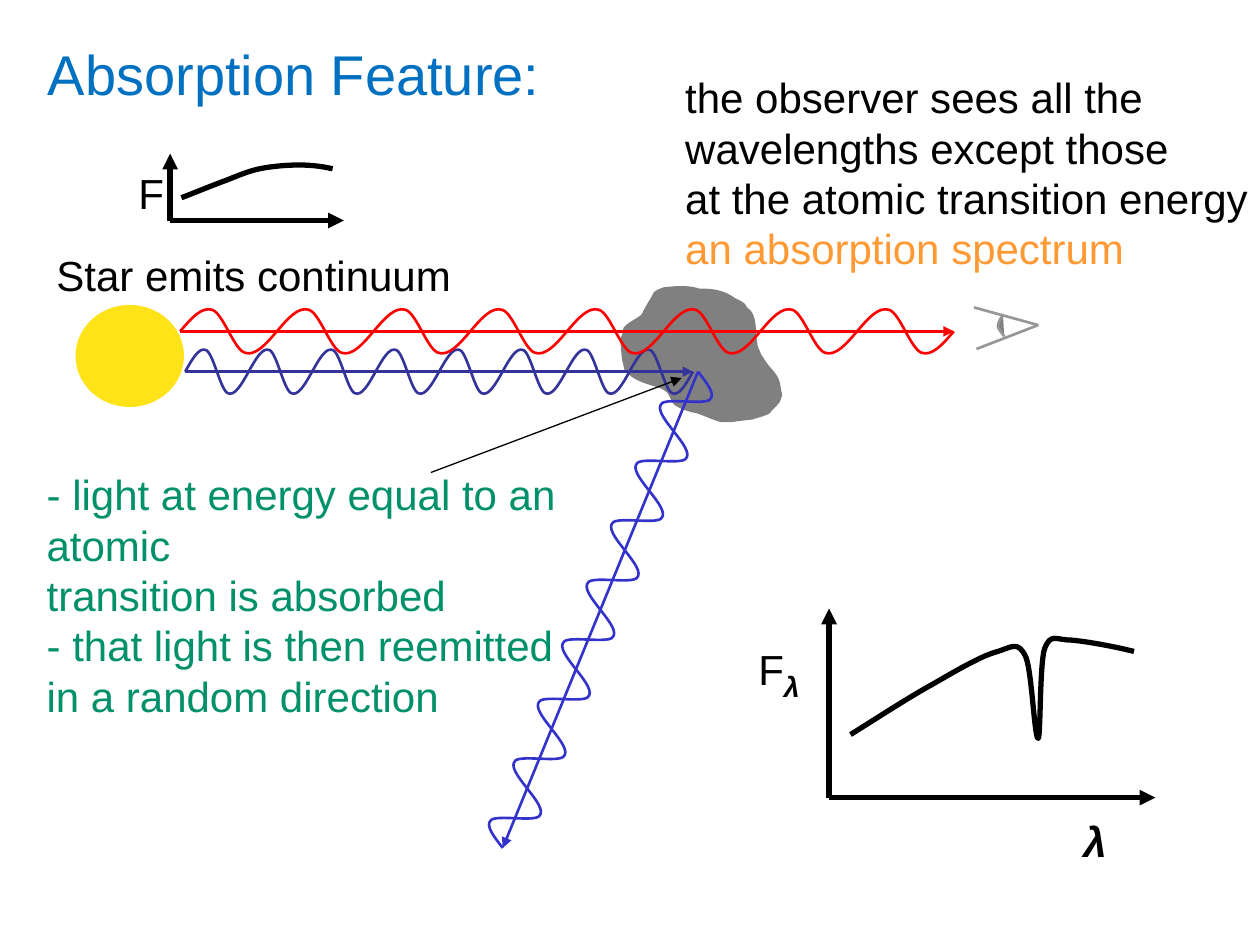
import math

import lxml.etree
import pptx
import pptx.dml.color
import pptx.enum.shapes
import pptx.enum.text
import pptx.oxml
import pptx.oxml.ns
import pptx.util

Inches = pptx.util.Inches
RGBColor = pptx.dml.color.RGBColor

BLACK = RGBColor(0x00, 0x00, 0x00)
GRAY = RGBColor(0x80, 0x80, 0x80)
LIGHT_GRAY = RGBColor(0x96, 0x96, 0x96)
YELLOW = RGBColor(0xFE, 0xE3, 0x18)
RED = RGBColor(0xFF, 0x00, 0x00)
NAVY = RGBColor(0x33, 0x33, 0x99)
BLUE = RGBColor(0x33, 0x33, 0xCC)
ORANGE = RGBColor(0xFF, 0x99, 0x33)
GREEN = RGBColor(0x00, 0x90, 0x6A)
TITLE_BLUE = RGBColor(0x00, 0x70, 0xC0)

CLOUD = [
    (5.55, 2.29), (5.45, 2.26), (5.37, 2.27), (5.27, 2.28), (5.24, 2.29), (5.21, 2.3), (5.19, 2.32),
    (5.17, 2.36), (5.13, 2.42), (5.1, 2.48), (5.09, 2.52), (5, 2.54), (4.95, 2.6),
    (4.93, 2.67), (4.95, 2.64), (4.92, 2.69), (4.93, 2.75), (4.93, 2.81), (4.94, 2.87),
    (4.95, 2.89), (4.95, 2.93), (4.96, 2.94), (5.03, 3.03), (5.15, 3.05), (5.24, 3.08),
    (5.26, 3.09), (5.28, 3.1), (5.3, 3.12), (5.32, 3.15), (5.33, 3.2), (5.36, 3.22),
    (5.41, 3.25), (5.47, 3.27), (5.53, 3.28), (5.59, 3.3), (5.65, 3.33), (5.72, 3.35),
    (5.75, 3.35), (5.78, 3.35), (5.81, 3.35), (5.87, 3.34), (5.97, 3.33), (5.97, 3.33),
    (6.03, 3.31), (6.08, 3.3), (6.11, 3.28), (6.13, 3.25), (6.16, 3.23), (6.19, 3.19),
    (6.2, 3.15), (6.22, 3.14), (6.2, 3.1), (6.19, 3), (6.17, 2.98), (6.1, 2.9),
    (6.07, 2.86), (6.06, 2.84), (6.04, 2.81), (6.03, 2.78), (6.01, 2.75), (6.01, 2.72),
    (5.99, 2.63), (6.02, 2.5), (5.93, 2.44), (5.9, 2.38), (5.86, 2.39), (5.81, 2.35),
    (5.73, 2.3), (5.65, 2.29), (5.55, 2.29),
]
PUPIL = [(7.97, 2.67), (7.95, 2.64), (7.92, 2.61), (7.92, 2.59), (7.92, 2.56), (7.94, 2.53), (7.96, 2.5)]
CONTINUUM = [
    (1.44, 1.57), (1.57, 1.52), (1.69, 1.47), (1.8, 1.43), (1.9, 1.39), (1.97, 1.36), (2.06, 1.34),
    (2.16, 1.32), (2.28, 1.31), (2.37, 1.31), (2.47, 1.31), (2.55, 1.32), (2.64, 1.34),
]
ABSORPTION = [
    (6.75, 5.83), (6.99, 5.68), (7.22, 5.53), (7.42, 5.42), (7.61, 5.31), (7.8, 5.2), (7.92, 5.17),
    (8.04, 5.13), (8.08, 5.09), (8.14, 5.21), (8.19, 5.32), (8.21, 5.87), (8.24, 5.86),
    (8.26, 5.85), (8.25, 5.28), (8.29, 5.15), (8.34, 5.02), (8.38, 5.08), (8.5, 5.08),
    (8.62, 5.09), (8.84, 5.13), (9, 5.17),
]
WAVE_HEIGHTS = [0, -0.1, -0.2, -0.17, -0.14, 0.14, 0.17, 0.2, 0.1, 0]
PERIODS = 8


def format_shape(shape, fill=None, color=None, width=1.5):
    shape.shadow.inherit = False
    if fill is None:
        shape.fill.background()
    else:
        shape.fill.solid()
        shape.fill.fore_color.rgb = fill
    if color is None:
        shape.line.fill.background()
    else:
        shape.line.color.rgb = color
        shape.line.width = pptx.util.Pt(width)


def add_curve(slide, controls, closed=False, **style):
    points = [(Inches(x), Inches(y)) for x, y in controls]
    builder = slide.shapes.build_freeform(*points[0])
    builder.add_line_segments(points[1:], close=False)
    shape = builder.convert_to_shape()
    segments = list(shape._element.iter(pptx.oxml.ns.qn("a:lnTo")))
    outline = segments[0].getparent()
    for index in range(0, len(segments), 3):
        curve = lxml.etree.SubElement(outline, pptx.oxml.ns.qn("a:cubicBezTo"))
        for segment in segments[index:index + 3]:
            curve.append(segment[0])
            outline.remove(segment)
    if closed:
        lxml.etree.SubElement(outline, pptx.oxml.ns.qn("a:close"))
    format_shape(shape, **style)
    return shape


def add_line(slide, start, end, color=BLACK, width=1.5, arrow=True):
    connector = slide.shapes.add_connector(
        pptx.enum.shapes.MSO_CONNECTOR.STRAIGHT, *[Inches(value) for value in (*start, *end)])
    connector.line.color.rgb = color
    connector.line.width = pptx.util.Pt(width)
    properties = connector._element.spPr
    if arrow:
        line = properties.find(pptx.oxml.ns.qn("a:ln"))
        lxml.etree.SubElement(line, pptx.oxml.ns.qn("a:tailEnd"), type="triangle")
    lxml.etree.SubElement(properties, pptx.oxml.ns.qn("a:effectLst"))


def add_wave(slide, start, end, color):
    run, rise = end[0] - start[0], end[1] - start[1]
    period = math.hypot(run, rise) / PERIODS
    for index in range(PERIODS):
        position = (index + 0.5) / PERIODS
        center_x, center_y = start[0] + run * position, start[1] + rise * position
        controls = [(center_x + period * (step / 9 - 0.5), center_y + height)
                    for step, height in enumerate(WAVE_HEIGHTS)]
        add_curve(slide, controls, color=color).rotation = math.degrees(math.atan2(rise, run))
    add_line(slide, start, end, color)


def add_axes(slide, origin, top, right):
    add_line(slide, origin, (origin[0], top), width=3)
    add_line(slide, origin, (right, origin[1]), width=3)


def format_run(run, size, color, bold=False, italic=False, baseline=0):
    run.font.name = "Arial"
    run.font.size = pptx.util.Pt(size)
    run.font.color.rgb = color
    run.font.bold = bold
    run.font.italic = italic
    if baseline:
        run._r.get_or_add_rPr().set("baseline", str(baseline * 1000))


def write_text(shape, box, paragraphs, wrap=False, size=24, color=BLACK, **font):
    shape.left, shape.top, shape.width, shape.height = [Inches(value) for value in box]
    frame = shape.text_frame
    frame.word_wrap = wrap
    frame.auto_size = pptx.enum.text.MSO_AUTO_SIZE.NONE
    frame.vertical_anchor = pptx.enum.text.MSO_ANCHOR.TOP
    for index, runs in enumerate(paragraphs):
        paragraph = frame.add_paragraph() if index else frame.paragraphs[0]
        properties = paragraph._p.get_or_add_pPr()
        properties.set("marL", "0")
        properties.set("indent", "0")
        lxml.etree.SubElement(properties, pptx.oxml.ns.qn("a:buNone"))
        paragraph.alignment = pptx.enum.text.PP_ALIGN.LEFT
        paragraph.space_before = pptx.util.Pt(0)
        for text, changes in runs:
            run = paragraph.add_run()
            run.text = text
            format_run(run, **{"size": size, "color": color, **font, **changes})


def add_text(slide, box, paragraphs, **style):
    shape = slide.shapes.add_textbox(*[Inches(value) for value in box])
    write_text(shape, box, paragraphs, **style)


def main():
    presentation = pptx.Presentation()
    presentation.slide_width, presentation.slide_height = Inches(10), Inches(7.5)
    slide = presentation.slides.add_slide(presentation.slide_layouts[1])

    add_curve(slide, CLOUD, closed=True, fill=GRAY)
    star = slide.shapes.add_shape(pptx.enum.shapes.MSO_SHAPE.OVAL,
                                  Inches(0.6), Inches(2.42), Inches(0.86), Inches(0.81))
    format_shape(star, fill=YELLOW)
    add_wave(slide, (1.47, 2.95), (5.5, 2.95), NAVY)
    add_wave(slide, (5.54, 2.95), (3.99, 6.73), BLUE)
    for eyelid_end in ((7.75, 2.77), (7.73, 2.44)):
        add_line(slide, (8.24, 2.58), eyelid_end, LIGHT_GRAY, arrow=False)
    add_curve(slide, PUPIL, fill=GRAY, color=LIGHT_GRAY)
    add_wave(slide, (1.43, 2.63), (7.57, 2.63), RED)

    write_text(slide.shapes.title, (0.28, 0.26, 4.11, 0.64), [[("Absorption Feature:", {})]],
               size=32, color=TITLE_BLUE)
    write_text(slide.placeholders[1], (0.27, 3.67, 4.26, 2.1), [
        [("- light at energy equal to an atomic", {})],
        [("transition is absorbed", {})],
        [("- that light is then reemitted in a random direction", {})],
    ], wrap=True, color=GREEN)
    add_text(slide, (0.35, 1.93, 3.33, 0.5), [[("Star emits continuum", {})]])
    add_text(slide, (5.34, 0.52, 4.66, 1.7), [
        [("the observer sees all the", {})],
        [("wavelengths except those", {})],
        [("at the atomic transition energy", {})],
        [("an absorption spectrum", {"color": ORANGE})],
    ])
    add_line(slide, (3.42, 3.75), (5.41, 3), width=0.75)

    add_axes(slide, (1.35, 1.75), 1.22, 2.73)
    add_curve(slide, CONTINUUM, color=BLACK, width=3)
    add_text(slide, (1, 1.28, 0.36, 0.5), [[("F", {})]], wrap=True)
    add_axes(slide, (6.58, 6.33), 4.83, 9.17)
    add_curve(slide, ABSORPTION, color=BLACK, width=3)
    wavelength = {"size": 28, "bold": True, "italic": True, "baseline": -25}
    add_text(slide, (5.92, 5, 0.68, 0.63), [[("F", {}), ("λ", wavelength)]], wrap=True)
    add_text(slide, (8.5, 6.42, 0.68, 0.5), [[("λ", {})]], wrap=True, bold=True, italic=True)

    presentation.save("out.pptx")


if __name__ == "__main__":
    main()
